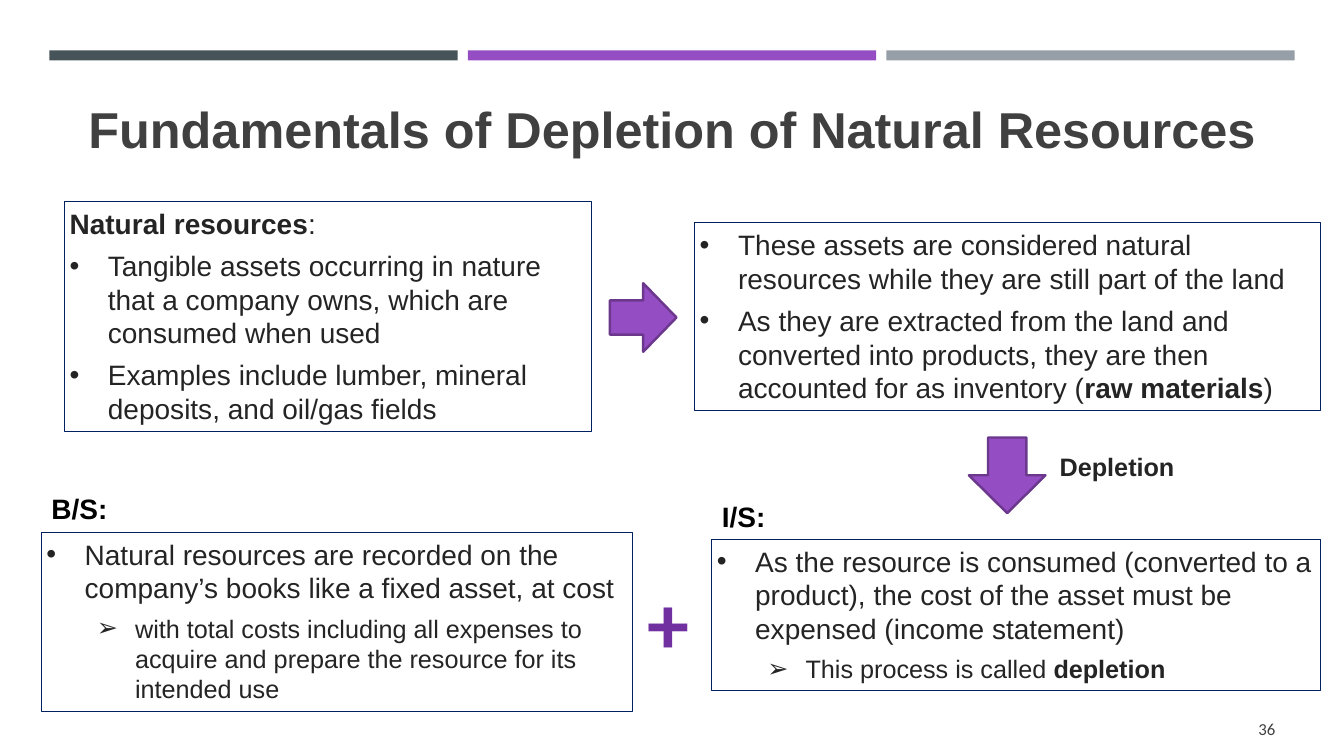
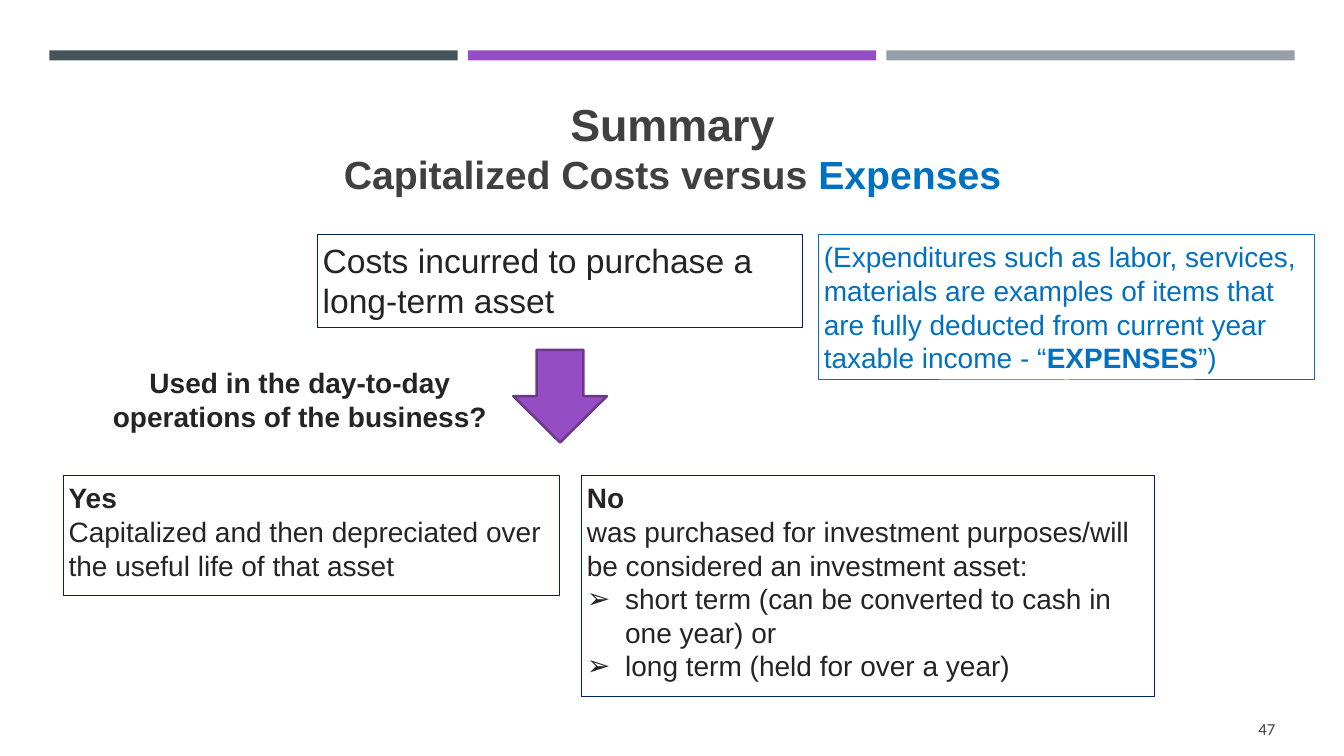
from dataclasses import dataclass
from typing import NamedTuple

from pptx import Presentation
from pptx.dml.color import RGBColor
from pptx.enum.shapes import MSO_SHAPE as Preset
from pptx.enum.text import MSO_ANCHOR as Anchor
from pptx.enum.text import MSO_AUTO_SIZE as AutoSize
from pptx.enum.text import PP_ALIGN as Align
from pptx.oxml.xmlchemy import OxmlElement
from pptx.slide import Slide
from pptx.text.text import TextFrame
from pptx.util import Inches, Pt

# Shared look
SLATE, PURPLE, GREY = "465359", "944DC3", "969FA7"
ARROW_EDGE, PLUS = "6C388E", "7030A0"
NAVY, BLUE = "002060", "0070C0"
TITLE, INK, BLACK = "404040", "242424", "000000"
COMPARISON_LAYOUT = 4
INSET = Inches(0.05)
DOT, POINTER = "•", "➢"


class Area(NamedTuple):
    left: float
    top: float
    width: float
    height: float

    def lengths(self) -> list[Inches]:
        return [Inches(value) for value in self]


class Words(NamedTuple):
    text: str
    bold: bool = False
    color: str = INK
    size: int = 20
    font: str = "Arial"


@dataclass(frozen=True)
class Para:
    runs: list[Words]
    bullet: str = ""
    level: int = 0
    before: int = 0
    align: Align = Align.LEFT


@dataclass(frozen=True)
class Panel:
    area: Area
    paras: list[Para]
    edge: str = NAVY


@dataclass(frozen=True)
class Label:
    area: Area
    words: Words
    align: Align = Align.LEFT
    wrap: bool = False
    anchor: Anchor = Anchor.TOP


@dataclass(frozen=True)
class Arrow:
    area: Area
    preset: Preset


@dataclass(frozen=True)
class Page:
    number: str
    title_top: float
    title: list[list[Words]]
    panels: list[Panel]
    arrows: list[Arrow]
    labels: list[Label]


def rgb(color: str) -> RGBColor:
    return RGBColor.from_string(color)


def write(frame: TextFrame, paras: list[Para], anchor: Anchor = Anchor.TOP,
          wrap: bool = True, auto_size: AutoSize = AutoSize.NONE) -> None:
    frame.margin_left = frame.margin_right = INSET
    frame.margin_top = frame.margin_bottom = INSET
    frame.vertical_anchor = anchor
    frame.word_wrap = wrap
    frame.auto_size = auto_size
    for index, para in enumerate(paras):
        line = frame.add_paragraph() if index else frame.paragraphs[0]
        line.level = para.level
        line.alignment = para.align
        line.space_before = Pt(para.before)
        set_bullet(line, para)
        for words in para.runs:
            run = line.add_run()
            run.text = words.text
            run.font.name = words.font
            run.font.size = Pt(words.size)
            run.font.bold = words.bold
            run.font.color.rgb = rgb(words.color)


def set_bullet(line, para: Para) -> None:
    props = line._p.get_or_add_pPr()
    hanging = Inches(0.38) if para.bullet else 0
    props.set("marL", str(hanging + Inches(0.5) * para.level))
    props.set("indent", str(-hanging))
    if para.bullet:
        face = OxmlElement("a:buFont")
        face.set("typeface", "Arial")
        mark = OxmlElement("a:buChar")
        mark.set("char", para.bullet)
        props.extend([face, mark])
    else:
        props.append(OxmlElement("a:buNone"))


def place(shape, area: Area) -> None:
    shape.left, shape.top, shape.width, shape.height = area.lengths()


def add_filled(slide: Slide, preset: Preset, area: Area, fill: str, edge: str = "") -> None:
    shape = slide.shapes.add_shape(preset, *area.lengths())
    shape.shadow.inherit = False
    shape.fill.solid()
    shape.fill.fore_color.rgb = rgb(fill)
    if edge:
        shape.line.color.rgb = rgb(edge)
        shape.line.width = Pt(1.75)
    else:
        shape.line.fill.background()


def add_label(slide: Slide, label: Label) -> None:
    box = slide.shapes.add_textbox(*label.area.lengths())
    write(box.text_frame, [Para([label.words], align=label.align)], label.anchor, label.wrap,
          AutoSize.SHAPE_TO_FIT_TEXT)


def build_page(deck: Presentation, page: Page) -> None:
    slide = deck.slides.add_slide(deck.slide_layouts[COMPARISON_LAYOUT])
    # Top bands
    for column, color in enumerate((SLATE, PURPLE, GREY)):
        add_filled(slide, Preset.RECTANGLE, Area(0.49 + 4.15 * column, 0.5, 4.05, 0.1), color)
    # Title
    title = slide.shapes.title
    place(title, Area(0.64, page.title_top, 12.06, 1.3))
    write(title.text_frame, [Para(runs, align=Align.CENTER) for runs in page.title],
          Anchor.MIDDLE)
    # Outlined panels in the four body placeholders
    bodies = [holder for holder in slide.placeholders if holder.placeholder_format.idx]
    for body, panel in zip(bodies, page.panels):
        place(body, panel.area)
        body.line.color.rgb = rgb(panel.edge)
        body.line.width = Pt(0.75)
        write(body.text_frame, panel.paras)
    # Arrows, labels and page number
    for arrow in page.arrows:
        add_filled(slide, arrow.preset, arrow.area, PURPLE, ARROW_EDGE)
    number = Label(Area(12.4, 7.08, 0.3, 0.29), Words(page.number, False, TITLE, 12, "Calibri"),
                   Align.RIGHT, anchor=Anchor.MIDDLE)
    for label in [*page.labels, number]:
        add_label(slide, label)


def point(*runs: Words) -> Para:
    return Para(list(runs), DOT, before=6)


def subpoint(*runs: Words) -> Para:
    return Para([words._replace(size=18) for words in runs], POINTER, level=1, before=6)


def heading(text: str) -> Para:
    return Para([Words(text, True)], before=6)


DEPLETION = Page(
    number="36",
    title_top=0.62,
    title=[[Words("Fundamentals of Depletion of Natural Resources", True, TITLE, 36)]],
    panels=[
        Panel(Area(0.64, 2, 5.23, 2.28), [
            Para([Words("Natural resources", True), Words(":")], before=6),
            point(Words("Tangible assets occurring in nature that a company owns, "
                        "which are consumed when used")),
            point(Words("Examples include lumber, mineral deposits, and oil/gas fields")),
        ]),
        Panel(Area(6.89, 2.21, 6.21, 1.86), [
            point(Words("These assets are considered natural resources while they are "
                        "still part of the land")),
            point(Words("As they are extracted from the land and converted into products, "
                        "they are then accounted for as inventory ("),
                  Words("raw materials", True), Words(")")),
        ]),
        Panel(Area(0.41, 5.28, 5.86, 1.78), [
            point(Words("Natural resources are recorded on the company’s books like a "
                        "fixed asset, at cost")),
            subpoint(Words("with total costs including all expenses to acquire and prepare "
                           "the resource for its intended use")),
        ]),
        Panel(Area(7.06, 5.35, 6.04, 1.5), [
            point(Words("As the resource is consumed (converted to a product), the cost of "
                        "the asset must be expensed (income statement)")),
            subpoint(Words("This process is called "), Words("depletion", True)),
        ]),
    ],
    arrows=[
        Arrow(Area(6.05, 2.81, 0.66, 0.68), Preset.RIGHT_ARROW),
        Arrow(Area(9.61, 4.34, 0.76, 0.75), Preset.DOWN_ARROW),
    ],
    labels=[
        Label(Area(6.37, 5.61, 0.6, 1.1), Words("+", True, PLUS, 60, "Calibri")),
        Label(Area(0.46, 4.83, 0.67, 0.43), Words("B/S:", True, BLACK)),
        Label(Area(7.11, 4.91, 0.55, 0.43), Words("I/S:", True, BLACK)),
        Label(Area(10.46, 4.43, 1.25, 0.41), Words("Depletion", True, size=18)),
    ],
)

SUMMARY = Page(
    number="47",
    title_top=0.81,
    title=[
        [Words("Summary", True, TITLE, 32)],
        [Words("Capitalized Costs versus ", True, TITLE, 28), Words("Expenses", True, BLUE, 28)],
    ],
    panels=[
        Panel(Area(3.15, 2.33, 4.81, 0.92), [
            Para([Words("Costs incurred to purchase a long-term asset", size=24)]),
        ]),
        Panel(Area(8.12, 2.33, 4.92, 1.44), [
            Para([Words("(Expenditures such as labor, services, materials are examples of "
                        "items that are fully deducted from current year taxable income - “",
                        color=BLUE),
                  Words("EXPENSES", True, BLUE), Words("”)", color=BLUE)]),
        ], BLUE),
        Panel(Area(0.63, 4.72, 4.92, 1.19), [
            heading("Yes"),
            Para([Words("Capitalized and then depreciated over the useful life of that asset")]),
        ]),
        Panel(Area(5.77, 4.72, 5.68, 2.19), [
            heading("No"),
            Para([Words("was purchased for investment purposes/will be considered an "
                        "investment asset:")]),
            Para([Words("short term (can be converted to cash in one year) or")], POINTER),
            Para([Words("long term (held for over a year)")], POINTER),
        ]),
    ],
    arrows=[Arrow(Area(5.09, 3.47, 0.93, 0.92), Preset.DOWN_ARROW)],
    labels=[
        Label(Area(0.92, 3.58, 4.11, 0.77),
              Words("Used in the day-to-day operations of the business?", True),
              Align.CENTER, wrap=True),
    ],
)


def main() -> None:
    deck = Presentation()
    deck.slide_width, deck.slide_height = Inches(13.33), Inches(7.5)
    for page in (DEPLETION, SUMMARY):
        build_page(deck, page)
    deck.save("out.pptx")


if __name__ == "__main__":
    main()
